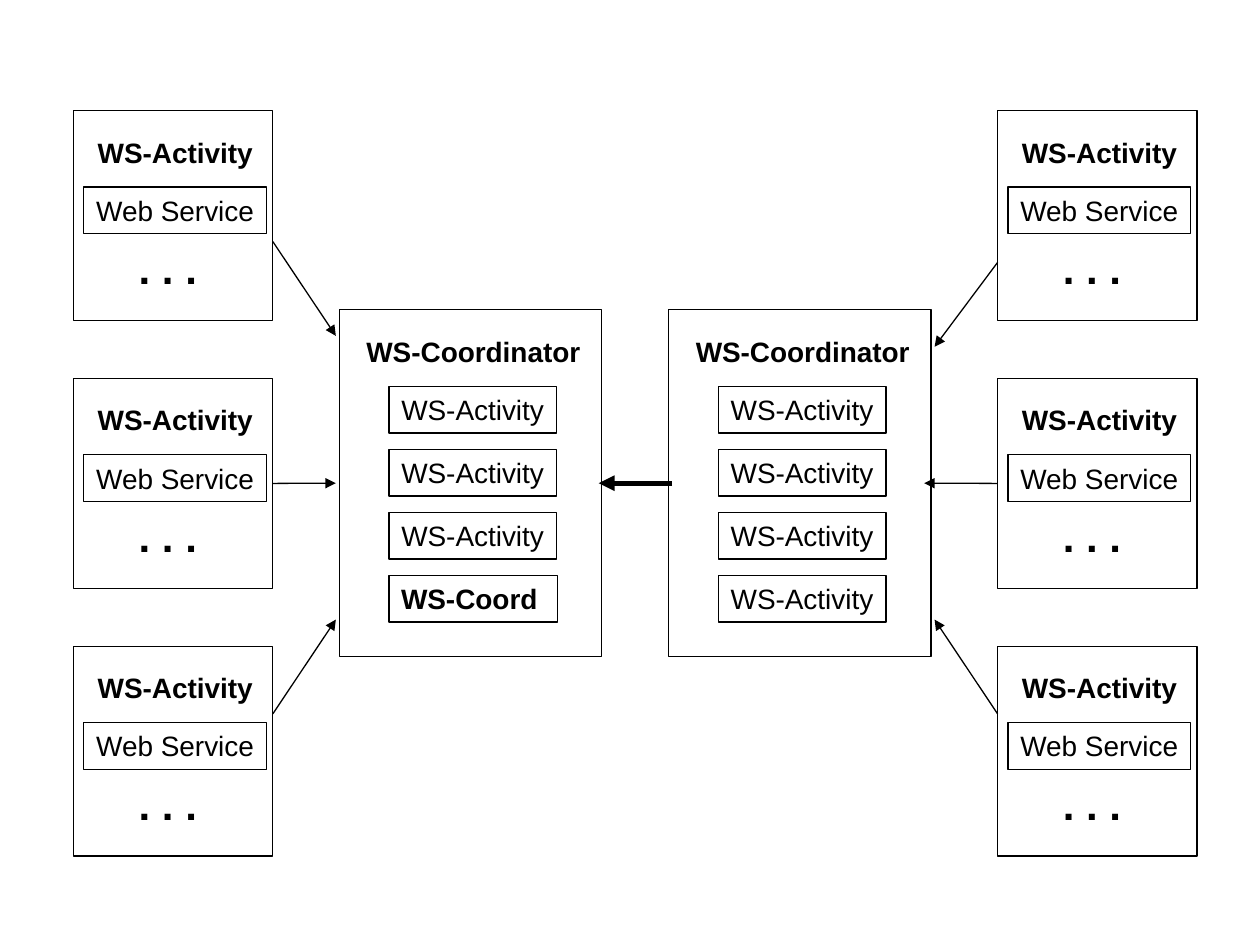
"""Build a slide of two linked coordinators and the activities that report to them."""
from lxml.etree import SubElement
from pptx import Presentation
from pptx.dml.color import RGBColor
from pptx.enum.shapes import MSO_CONNECTOR, MSO_SHAPE
from pptx.enum.text import MSO_ANCHOR, MSO_AUTO_SIZE, PP_ALIGN
from pptx.oxml.ns import qn
from pptx.util import Cm, Pt

BLACK = RGBColor(0, 0, 0)
FONT = "Arial"
LABEL_HEIGHT = 0.94
SIDE_MARGIN = 0.15

ACTIVITY_LEFTS = (1.48, 20.11)
ACTIVITY_TOP, ACTIVITY_PITCH, ACTIVITY_ROWS = 2.23, 5.4, 3
ACTIVITY_SIZE = (4.02, 4.23)

COORDINATOR_TOP = 6.24
COORDINATOR_SIZE = (5.29, 6.99)
MEMBER_PITCH = 1.27
COORDINATORS = [
    (6.84, [("WS-Activity", False, 3.38)] * 3 + [("WS-Coord ", True, 3.4)]),
    (13.48, [("WS-Activity", False, 3.38)] * 4),
]

MIDDLE = 9.74
LEFT_EDGE, RIGHT_EDGE = 5.5, 20.11
ARROWS = [
    ((LEFT_EDGE, 4.87), (6.77, 6.77), 0.75),
    ((LEFT_EDGE, MIDDLE), (6.77, MIDDLE), 0.75),
    ((LEFT_EDGE, 14.39), (6.77, 12.49), 0.75),
    ((13.55, MIDDLE), (12.07, MIDDLE), 3),
    ((RIGHT_EDGE, 5.29), (18.84, 6.99), 0.75),
    ((RIGHT_EDGE, MIDDLE), (18.63, MIDDLE), 0.75),
    ((RIGHT_EDGE, 14.39), (18.84, 12.49), 0.75),
]


def add_box(slide, left, top, width, height):
    shape = slide.shapes.add_shape(
        MSO_SHAPE.RECTANGLE, Cm(left), Cm(top), Cm(width), Cm(height))
    shape.shadow.inherit = False
    shape.fill.background()
    shape.line.color.rgb = BLACK
    shape.line.width = Pt(0.75)
    return shape


def write(shape, text, size=16, bold=False, wrap=False):
    frame = shape.text_frame
    frame.word_wrap = wrap
    frame.auto_size = MSO_AUTO_SIZE.SHAPE_TO_FIT_TEXT
    frame.vertical_anchor = MSO_ANCHOR.TOP
    frame.margin_left = frame.margin_right = Cm(SIDE_MARGIN)
    paragraph = frame.paragraphs[0]
    paragraph.alignment = PP_ALIGN.CENTER
    run = paragraph.add_run()
    run.text = text
    run.font.name = FONT
    run.font.size = Pt(size)
    run.font.bold = bold
    run.font.color.rgb = BLACK


def add_text(slide, text, left, top, width, height, **style):
    shape = slide.shapes.add_textbox(Cm(left), Cm(top), Cm(width), Cm(height))
    write(shape, text, bold=True, **style)


def add_activity(slide, left, top):
    box = add_box(slide, left, top, *ACTIVITY_SIZE)
    add_text(slide, "WS-Activity", left + 0.24, top + 0.37, 3.63, LABEL_HEIGHT)
    service = add_box(slide, left + 0.21, top + 1.54, 3.68, LABEL_HEIGHT)
    write(service, "Web Service")
    add_text(slide, ". . .", left + 0.85, top + 2.53, 2.11, 1.27, size=24, wrap=True)
    return box


def add_coordinator(slide, left, members):
    add_box(slide, left, COORDINATOR_TOP, *COORDINATOR_SIZE)
    add_text(slide, "WS-Coordinator", left + 0.29, COORDINATOR_TOP + 0.37,
             4.83, LABEL_HEIGHT)
    for row, (text, bold, width) in enumerate(members):
        top = COORDINATOR_TOP + 1.55 + row * MEMBER_PITCH
        member = add_box(slide, left + 1, top, width, LABEL_HEIGHT)
        write(member, text, bold=bold)


def add_arrow(slide, start, end, weight):
    connector = slide.shapes.add_connector(
        MSO_CONNECTOR.STRAIGHT, *(Cm(value) for value in start + end))
    connector.line.color.rgb = BLACK
    connector.line.width = Pt(weight)
    SubElement(connector.line._get_or_add_ln(), qn("a:tailEnd"), type="triangle")
    SubElement(connector._element.spPr, qn("a:effectLst"))
    return connector


def main():
    presentation = Presentation()
    presentation.slide_width, presentation.slide_height = Cm(25.4), Cm(19.05)
    slide = presentation.slides.add_slide(presentation.slide_layouts[6])
    for left, members in COORDINATORS:
        add_coordinator(slide, left, members)
    columns = [
        [add_activity(slide, left, ACTIVITY_TOP + row * ACTIVITY_PITCH)
         for row in range(ACTIVITY_ROWS)]
        for left in ACTIVITY_LEFTS
    ]
    sides = {LEFT_EDGE: (columns[0][1], 3), RIGHT_EDGE: (columns[1][1], 1)}
    for start, end, weight in ARROWS:
        connector = add_arrow(slide, start, end, weight)
        if start[1] == MIDDLE and start[0] in sides:
            connector.begin_connect(*sides[start[0]])
    presentation.save("out.pptx")


if __name__ == "__main__":
    main()
